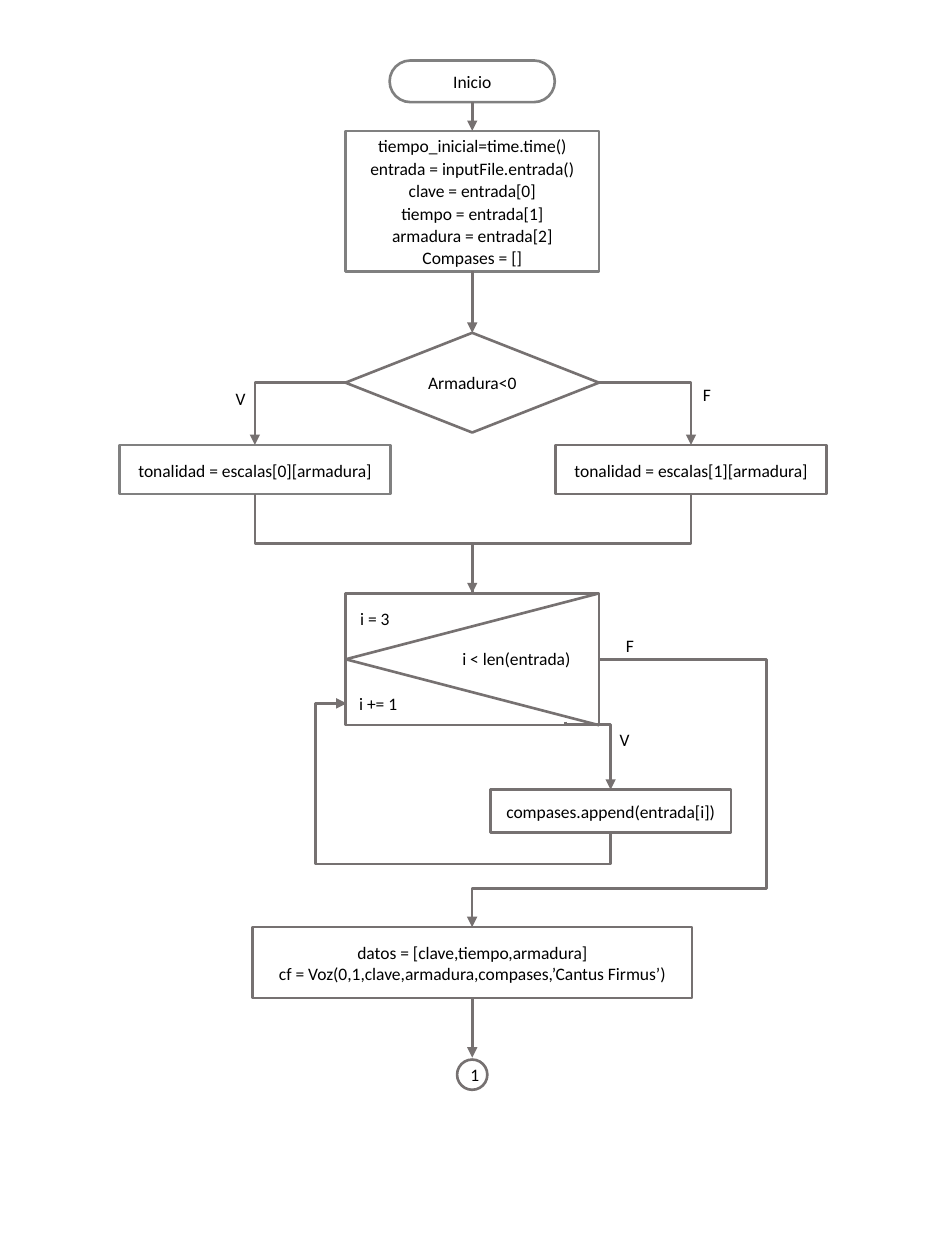
from lxml import etree
from pptx import Presentation
from pptx.dml.color import RGBColor
from pptx.enum.shapes import MSO_CONNECTOR as LINE, MSO_SHAPE as SHAPE
from pptx.enum.text import MSO_ANCHOR as ANCHOR, PP_ALIGN as ALIGN
from pptx.oxml.ns import qn
from pptx.util import Cm, Pt

GRAY, DARK, BLACK = "808080", "767171", "000000"
MID, LEFT, RIGHT, BODY = 9.52, 5.14, 13.93, 12.31

BOXES = [
    (SHAPE.ROUNDED_RECTANGLE, MID, 1.22, 3.33, 0.84, GRAY, True, ["Inicio"]),
    (SHAPE.RECTANGLE, MID, 2.64, 5.11, 2.83, GRAY, True, [
        "tiempo_inicial=time.time()", "entrada = inputFile.entrada()",
        "clave = entrada[0]", "tiempo = entrada[1]",
        "armadura = entrada[2]", "Compases = []"]),
    (SHAPE.FLOWCHART_DECISION, MID, 6.71, 5.11, 2.01, DARK, False, ["Armadura<0"]),
    (SHAPE.RECTANGLE, LEFT, 8.97, 5.46, 0.99, GRAY, True,
     ["tonalidad = escalas[0][armadura]"]),
    (SHAPE.RECTANGLE, RIGHT, 8.97, 5.46, 0.99, DARK, True,
     ["tonalidad = escalas[1][armadura]"]),
    (SHAPE.RECTANGLE, BODY, 15.92, 4.85, 0.87, DARK, False,
     ["compases.append(entrada[i])"]),
    (SHAPE.RECTANGLE, MID, 18.69, 8.87, 1.43, DARK, False,
     ["datos = [clave,tiempo,armadura]",
      "cf = Voz(0,1,clave,armadura,compases,’Cantus Firmus’)"]),
    (SHAPE.FLOWCHART_CONNECTOR, MID, 21.36, 0.61, 0.61, DARK, False, ["1"]),
]
LOOP_BOX = (SHAPE.RECTANGLE, MID, 11.96, 5.11, 2.66, DARK, False, [])
LOOP_LINES = [((12.08, 11.96), (6.97, 13.29)), ((6.97, 13.29), (12.08, 14.62))]
LOOP_LABELS = [("i = 3", 7.01, 12.14, 2.03), ("i < len(entrada)", 9.07, 12.93, 3.02),
               ("i += 1", 6.99, 13.84, 2.03)]
LABELS = [("V", 4.5, 7.7, 2.03), ("F", 13.92, 7.62, 2.03),
          ("V", 12.24, 14.58, 2.03), ("F", 12.37, 12.68, 2.03)]
DOWN_ARROWS = [(2.06, 2.64), (5.47, 6.71), (20.12, 21.32)]
X, Y = 0, 1
ELBOWS = [
    ((12.08, 7.71), (RIGHT, 8.97), X, [], True),
    ((6.97, 7.71), (LEFT, 8.97), X, [], True),
    ((LEFT, 9.96), (MID, 11.96), Y, [10.96], False),
    ((RIGHT, 9.96), (MID, 11.96), Y, [10.96], True),
    ((11.4, 14.55), (BODY, 15.92), Y, [14.61], True),
    ((BODY, 16.79), (6.99, 14.18), Y, [17.42, 6.36], True),
    ((12.08, 13.29), (MID, 18.69), X, [15.45, 17.91], True),
]


def color(value):
    return RGBColor.from_string(value)


def write(tf, lines, align, spacing=None):
    tf.word_wrap = True
    for i, text in enumerate(lines):
        p = tf.paragraphs[0] if i == 0 else tf.add_paragraph()
        p.alignment = align
        if spacing:
            p.line_spacing = spacing
        r = p.add_run()
        r.text = text
        r.font.name, r.font.size = "Calibri", Pt(10)
        r.font.color.rgb = color(BLACK)


def add_box(shapes, kind, cx, top, w, h, line, roomy, lines):
    s = shapes.add_shape(kind, Cm(cx - w / 2), Cm(top), Cm(w), Cm(h))
    s.shadow.inherit = False
    s.fill.background()
    s.line.color.rgb, s.line.width = color(line), Pt(1.5)
    if kind == SHAPE.ROUNDED_RECTANGLE:
        s.adjustments[0] = 0.5
    tf = s.text_frame
    tf.vertical_anchor = ANCHOR.MIDDLE
    if roomy:
        tf.margin_left = tf.margin_right = Cm(0.33)
        tf.margin_top = tf.margin_bottom = Cm(0.18)
    write(tf, lines, ALIGN.CENTER, 1.07 if roomy else None)


def add_label(shapes, text, x, y, w):
    s = shapes.add_textbox(Cm(x), Cm(y), Cm(w), Cm(0.68))
    write(s.text_frame, [text], ALIGN.LEFT)


def add_line(shapes, start, end, arrow=False, kind=LINE.STRAIGHT):
    s = shapes.add_connector(kind, *[Cm(v) for v in (*start, *end)])
    s.line.color.rgb, s.line.width = color(DARK), Pt(1.5)
    if arrow:
        etree.SubElement(s.line._get_or_add_ln(), qn("a:tailEnd"), type="triangle")
    etree.SubElement(s._element.spPr, qn("a:effectLst"))
    return s


def add_elbow(shapes, start, end, axis, lanes, arrow):
    s = add_line(shapes, start, end, arrow, LINE.ELBOW)
    dx, dy = end[X] - start[X], end[Y] - start[Y]
    if axis == Y:
        cx, cy = (start[X] + end[X]) / 2, (start[Y] + end[Y]) / 2
        w, h = abs(dy), abs(dx)
        s.left, s.top, s.width, s.height = map(Cm, (cx - w / 2, cy - h / 2, w, h))
        xfrm = s._element.spPr.find(qn("a:xfrm"))
        xfrm.set("rot", "5400000")
        xfrm.set("flipH", str(int(dy < 0)))
        xfrm.set("flipV", str(int(dx > 0)))
    geom = s._element.spPr.find(qn("a:prstGeom"))
    geom.set("prst", f"bentConnector{2 + len(lanes)}")
    guides = geom.find(qn("a:avLst"))
    for i, lane in enumerate(lanes):
        a = (axis + i) % 2
        share = (lane - start[a]) / (end[a] - start[a])
        etree.SubElement(guides, qn("a:gd"), name=f"adj{i + 1}",
                         fmla=f"val {round(share * 100000)}")


prs = Presentation()
prs.slide_width, prs.slide_height = Cm(19.05), Cm(25.4)
shapes = prs.slides.add_slide(prs.slide_layouts[6]).shapes

for box in BOXES:
    add_box(shapes, *box)
loop = shapes.add_group_shape().shapes
add_box(loop, *LOOP_BOX)
for start, end in LOOP_LINES:
    add_line(loop, start, end)
for label in LOOP_LABELS:
    add_label(loop, *label)
for top, bottom in DOWN_ARROWS:
    add_line(shapes, (MID, top), (MID, bottom), True)
for elbow in ELBOWS:
    add_elbow(shapes, *elbow)
for label in LABELS:
    add_label(shapes, *label)

prs.save("out.pptx")
